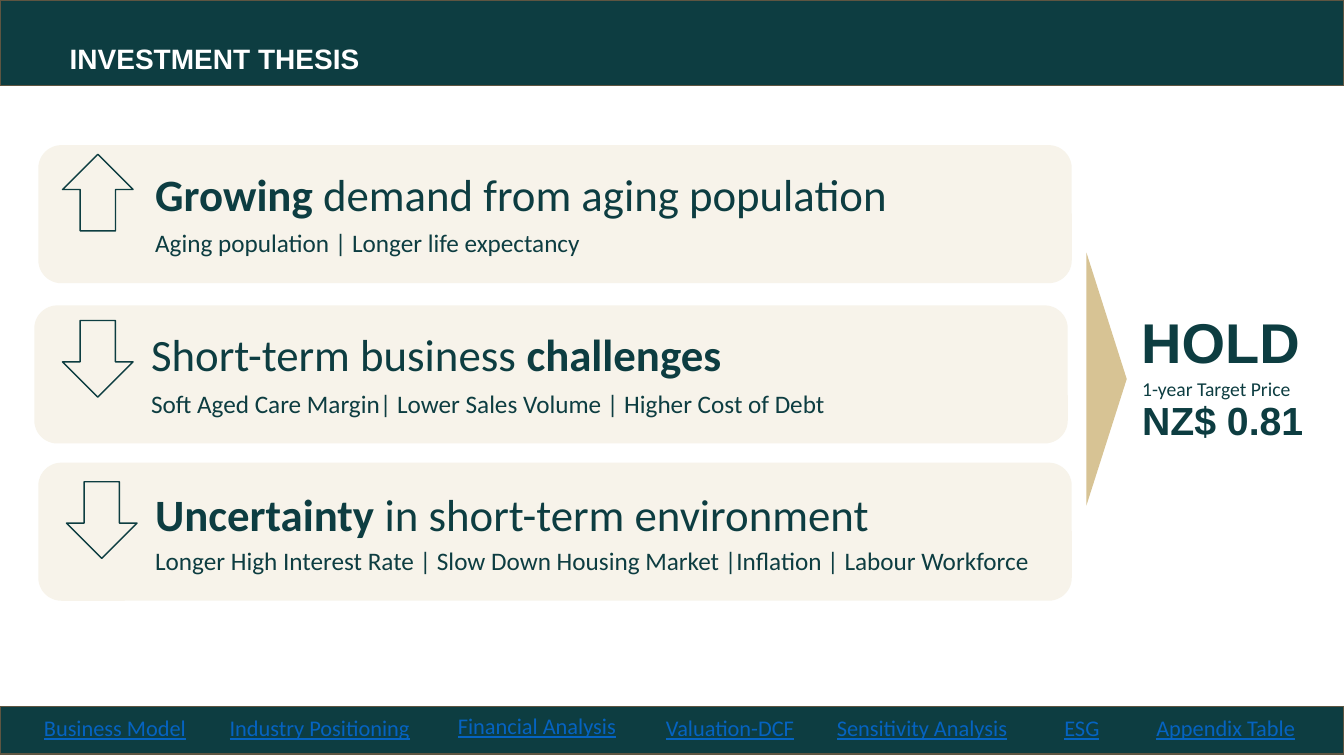
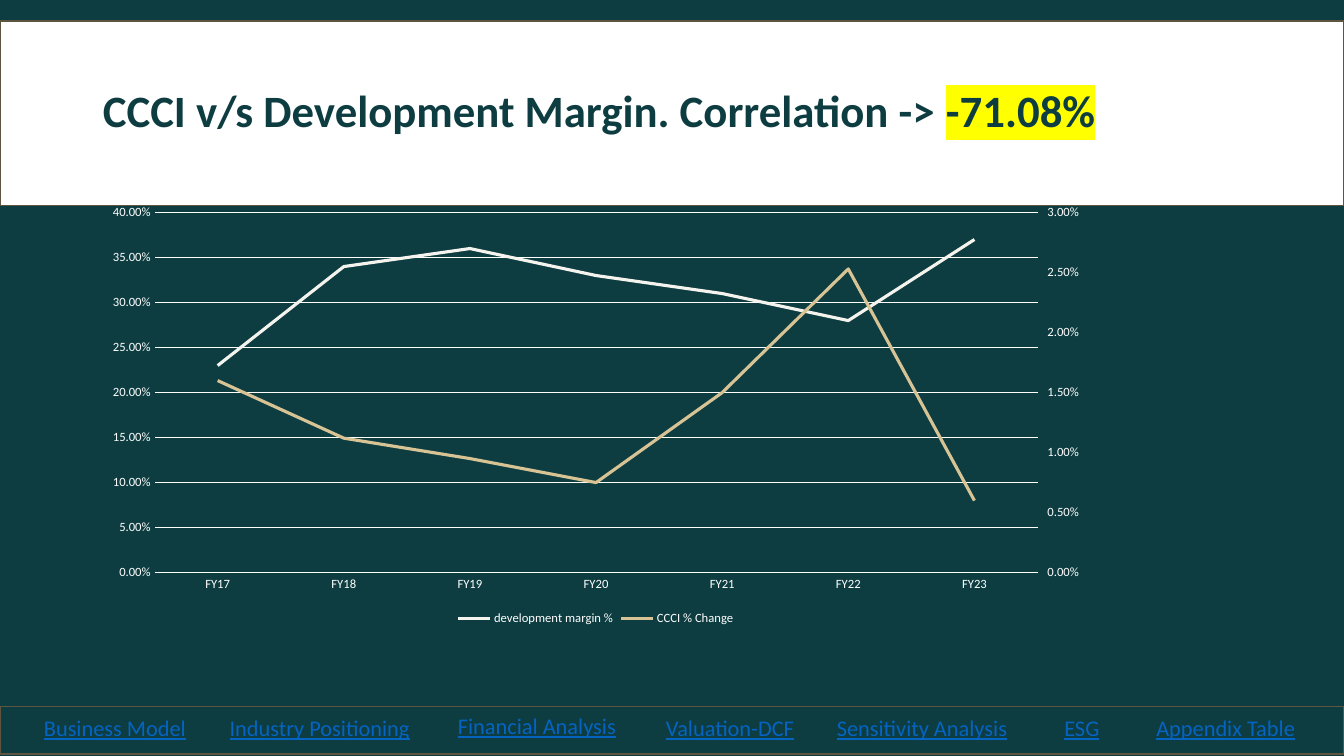
"""Builds an investment thesis slide and a correlation chart slide."""
import copy

import pptx
import pptx.chart.data
import pptx.dml.color
import pptx.enum.chart
import pptx.enum.shapes
import pptx.enum.text
import pptx.oxml
import pptx.oxml.ns
import pptx.util

Inches = pptx.util.Inches
Pt = pptx.util.Pt
RGBColor = pptx.dml.color.RGBColor
SHAPE = pptx.enum.shapes.MSO_SHAPE
ALIGN = pptx.enum.text.PP_ALIGN
ANCHOR = pptx.enum.text.MSO_ANCHOR
qn = pptx.oxml.ns.qn

TEAL = RGBColor(0x0D, 0x3D, 0x41)
CREAM = RGBColor(0xF7, 0xF3, 0xEA)
IVORY = RGBColor(0xF5, 0xF3, 0xEE)
SAND = RGBColor(0xD7, 0xC3, 0x94)
BROWN = RGBColor(0x5E, 0x55, 0x41)
LINK_BLUE = RGBColor(0x05, 0x63, 0xC1)
WHITE = RGBColor(0xFF, 0xFF, 0xFF)

FOOTER_LABELS = [
    ("Business Model", 0, 7.04, 2.28, ALIGN.CENTER),
    ("Industry Positioning", 2.03, 7.04, 2.28, ALIGN.CENTER),
    ("Financial Analysis", 4.31, 7.02, 2.03, ALIGN.CENTER),
    ("Valuation-DCF", 6.1, 7.04, 2.28, ALIGN.CENTER),
    ("Sensitivity Analysis", 8.13, 7.04, 2.03, ALIGN.CENTER),
    ("ESG", 10.16, 7.04, 1.14, ALIGN.CENTER),
    ("Appendix Table", 11.37, 7.04, 2.28, ALIGN.LEFT),
]

THESES = [
    {"card": (0.38, 1.44), "arrow": (0.62, 1.53), "turn": 180,
     "heading": [("Growing", True), (" demand from aging population", False)],
     "drivers": "Aging population | Longer life expectancy"},
    {"card": (0.34, 3.03), "arrow": (0.62, 3.18), "turn": 0,
     "heading": [("Short-term business ", False), ("challenges", True)],
     "drivers": "Soft Aged Care Margin| Lower Sales Volume | Higher Cost of Debt"},
    {"card": (0.38, 4.59), "arrow": (0.66, 4.78), "turn": 0,
     "heading": [("Uncertainty", True), (" in short-term environment", False)],
     "drivers": "Longer High Interest Rate | Slow Down Housing Market |Inflation"
                " | Labour Workforce"},
]
HEADING_TOP, HEADING_STEP = 1.6, 1.59

VERDICT = [
    ("HOLD", (11.22, 3.13, 1.82, 0.63), 40, "Arial", True, 0.8),
    ("1-year Target Price", (11.23, 3.69, 1.72, 0.34), 14, "Calibri", False, 1.0),
    ("NZ$ 0.81", (11.23, 3.95, 1.93, 0.51), 28, "Arial", True, 0.8),
]

YEARS = ["FY17", "FY18", "FY19", "FY20", "FY21", "FY22", "FY23"]
SERIES = [
    ("development margin %", [0.23, 0.34, 0.36, 0.33, 0.31, 0.28, 0.37], IVORY),
    ("CCCI % Change", [0.016, 0.0112, 0.0095, 0.0075, 0.015, 0.0253, 0.006], SAND),
]


def style(font, size, color, name="Calibri", bold=False):
    font.size, font.name, font.bold = Pt(size), name, bold
    font.color.rgb = color


def place(part, box):
    part.left, part.top, part.width, part.height = map(Inches, box)


def add_figure(slide, kind, box, fill=None, line=None, turn=0):
    figure = slide.shapes.add_shape(kind, *map(Inches, box))
    figure.shadow.inherit = False
    figure.rotation = turn
    if fill is None:
        figure.fill.background()
    else:
        figure.fill.solid()
        figure.fill.fore_color.rgb = fill
    if line is None:
        figure.line.fill.background()
    else:
        figure.line.color.rgb = line
        figure.line.width = Pt(1)


def add_text(slide, box, runs, size, color=TEAL, name="Calibri", bold=False):
    frame = slide.shapes.add_textbox(*map(Inches, box)).text_frame
    frame.word_wrap = True
    paragraph = frame.paragraphs[0]
    style(paragraph.font, size, color, name, bold)
    for text, strong in runs:
        run = paragraph.add_run()
        run.text = text
        if strong:
            run.font.bold = True
    return paragraph, frame


def add_band(slide, top, height, fill):
    add_figure(slide, SHAPE.RECTANGLE, (0, top, 13.33, height), fill, BROWN)


def set_title(slide, box, texts, size, color, name):
    """Formats the title and lifts it above its band."""
    title = slide.shapes.title
    place(title, box)
    slide.shapes._spTree.append(title._element)
    frame = title.text_frame
    frame.auto_size = pptx.enum.text.MSO_AUTO_SIZE.NONE
    frame.word_wrap = True
    frame.vertical_anchor = ANCHOR.MIDDLE
    paragraph = frame.paragraphs[0]
    paragraph.alignment = ALIGN.LEFT
    paragraph.line_spacing = 0.9
    style(paragraph.font, size, color, name, True)
    for text in texts:
        paragraph.add_run().text = text
    return paragraph


def add_footer(slide):
    add_band(slide, 7.01, 0.47, TEAL)
    for label, left, top, width, alignment in FOOTER_LABELS:
        paragraph, _ = add_text(slide, (left, top, width, 0.37), [(label, False)],
                                16, LINK_BLUE)
        paragraph.alignment = alignment
        paragraph.font.underline = True


def new_slide(deck, background):
    slide = deck.slides.add_slide(deck.slide_layouts[5])
    slide.background.fill.solid()
    slide.background.fill.fore_color.rgb = background
    return slide


def build_thesis(deck):
    slide = new_slide(deck, WHITE)
    add_band(slide, 0, 0.85, TEAL)
    set_title(slide, (0.59, 0.36, 8.75, 0.47), ["INVESTMENT THESIS"], 20, WHITE, "Arial")
    for row, thesis in enumerate(THESES):
        left, top = thesis["card"]
        heading_top = HEADING_TOP + row * HEADING_STEP
        add_figure(slide, SHAPE.ROUNDED_RECTANGLE, (left, top, 10.25, 1.37), CREAM)
        add_figure(slide, SHAPE.DOWN_ARROW, (*thesis["arrow"], 0.7, 0.76),
                   line=TEAL, turn=thesis["turn"])
        add_text(slide, (left + 1.06, heading_top, 9.15, 0.64), thesis["heading"], 32)
        add_text(slide, (left + 1.06, top + 0.77, 9.15, 0.4),
                 [(thesis["drivers"], False)], 18)
    add_figure(slide, SHAPE.ISOSCELES_TRIANGLE, (9.72, 3.56, 2.51, 0.4), SAND, turn=90)
    for text, box, size, name, bold, spacing in VERDICT:
        paragraph, frame = add_text(slide, box, [(text, False)], size, TEAL, name, bold)
        paragraph.line_spacing = spacing
        frame.vertical_anchor = ANCHOR.MIDDLE
    add_footer(slide)


def move_to_right_axis(chart):
    """Draws the last series against a second value axis on the right."""
    plot_area = chart._chartSpace.chart.plotArea
    margin_plot = plot_area.find(qn("c:lineChart"))
    change_plot = copy.deepcopy(margin_plot)
    margin_plot.remove(margin_plot.findall(qn("c:ser"))[1])
    change_plot.remove(change_plot.findall(qn("c:ser"))[0])
    margin_plot.addnext(change_plot)
    years = copy.deepcopy(plot_area.find(qn("c:catAx")))
    change = copy.deepcopy(plot_area.find(qn("c:valAx")))
    plot_area.find(qn("c:valAx")).addnext(change)
    change.addnext(years)
    for axis_ref, axis_id in zip(change_plot.findall(qn("c:axId")), ("5001", "5002")):
        axis_ref.set("val", axis_id)
    for axis, own, other in ((years, "5001", "5002"), (change, "5002", "5001")):
        axis.find(qn("c:axId")).set("val", own)
        axis.find(qn("c:crossAx")).set("val", other)
    years.find(qn("c:delete")).set("val", "1")
    change.remove(change.find(qn("c:majorGridlines")))
    for tag, value in (("axPos", "r"), ("majorTickMark", "out"), ("crosses", "max"),
                       ("majorUnit", "0.005")):
        change.find(qn("c:" + tag)).set("val", value)
    change.find(qn("c:scaling")).find(qn("c:max")).set("val", "0.03")


def add_correlation_chart(slide):
    data = pptx.chart.data.CategoryChartData(number_format="0.00%")
    data.categories = YEARS
    for name, values, _ in SERIES:
        data.add_series(name, values)
    chart = slide.shapes.add_chart(pptx.enum.chart.XL_CHART_TYPE.LINE,
                                   *map(Inches, (0.92, 1.95, 9.98, 4.3)), data).chart
    style(chart.font, 10, WHITE)
    chart.has_title = False
    chart.has_legend = True
    chart.legend.position = pptx.enum.chart.XL_LEGEND_POSITION.BOTTOM
    chart.legend.include_in_layout = False
    style(chart.legend.font, 9, WHITE)
    chart.plots[0].vary_by_categories = False
    for series, (_, _, color) in zip(chart.plots[0].series, SERIES):
        series.smooth = False
        series.format.line.color.rgb = color
        series.format.line.width = Pt(2.25)
    years, margin = chart.category_axis, chart.value_axis
    for axis in (years, margin):
        axis.major_tick_mark = pptx.enum.chart.XL_TICK_MARK.NONE
        axis.minor_tick_mark = pptx.enum.chart.XL_TICK_MARK.NONE
        style(axis.tick_labels.font, 9, WHITE)
    margin.minimum_scale, margin.maximum_scale, margin.major_unit = 0, 0.4, 0.05
    margin.tick_labels.number_format = "0.00%"
    margin.tick_labels.number_format_is_linked = False
    margin.format.line.fill.background()
    for line in (years.format.line, margin.major_gridlines.format.line):
        line.color.rgb = WHITE
        line.width = Pt(0.75)
    move_to_right_axis(chart)


def build_correlation(deck):
    slide = new_slide(deck, TEAL)
    add_band(slide, 0.21, 1.83, WHITE)
    title = set_title(slide, (0.92, 0.4, 11.5, 1.45),
                      ["CCCI v/s Development Margin. Correlation -> ", "-71.08%"],
                      32, TEAL, "Calibri")
    highlight = pptx.oxml.parse_xml(
        '<a:highlight xmlns:a="http://schemas.openxmlformats.org/drawingml/2006/main">'
        '<a:srgbClr val="FFFF00"/></a:highlight>')
    title.runs[1]._r.get_or_add_rPr().append(highlight)
    add_correlation_chart(slide)
    add_footer(slide)


def main():
    deck = pptx.Presentation()
    deck.slide_width, deck.slide_height = Inches(13.33), Inches(7.5)
    build_thesis(deck)
    build_correlation(deck)
    deck.save("out.pptx")


if __name__ == "__main__":
    main()
